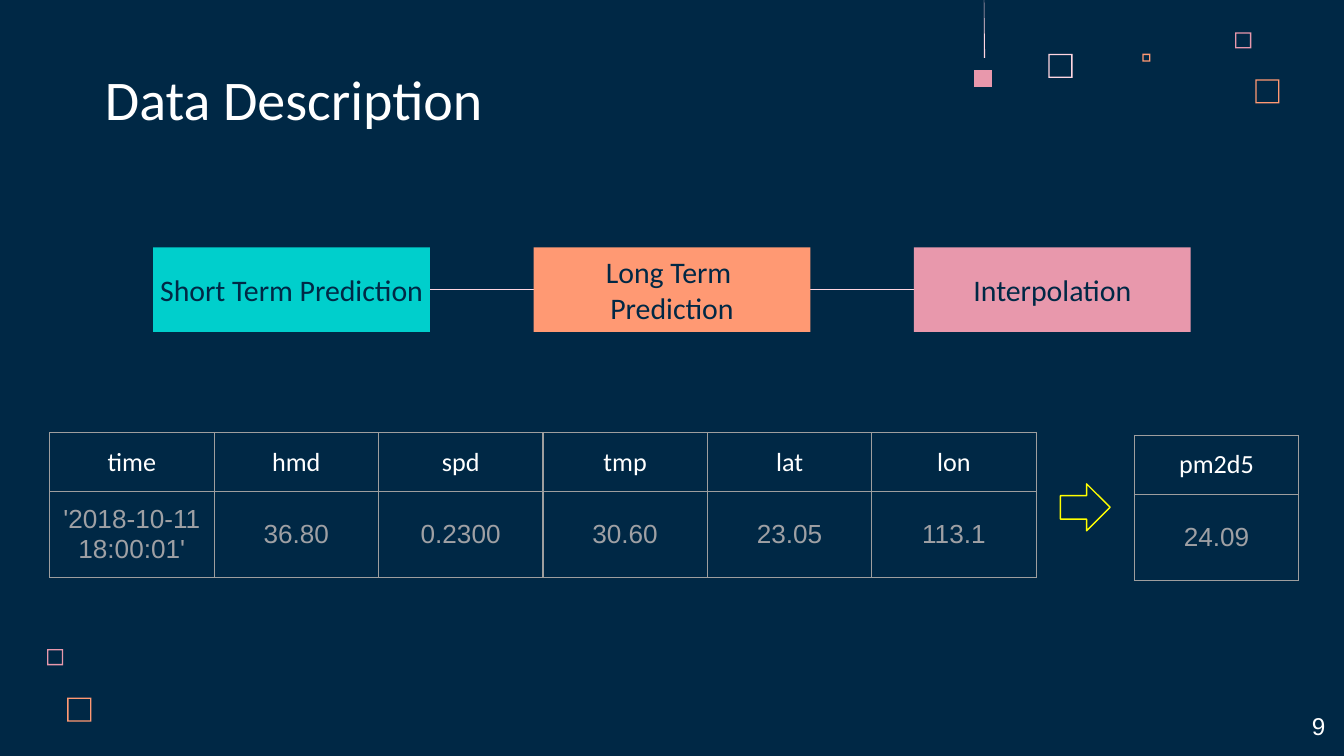
import pptx
import pptx.dml.color
import pptx.enum.shapes
import pptx.enum.text
import pptx.oxml
import pptx.oxml.ns
import pptx.util
from pptx.util import Inches

SHAPE = pptx.enum.shapes.MSO_SHAPE
ALIGN = pptx.enum.text.PP_ALIGN
ANCHOR = pptx.enum.text.MSO_ANCHOR

# Content
TITLE = "Data Description"
PAGE_NUMBER = "9"
TASKS = [
    (["Short Term Prediction"], "teal"),
    (["Long Term ", "Prediction"], "orange"),
    (["Interpolation"], "pink"),
]
FEATURES = [
    ["time", "hmd", "spd", "tmp", "lat", "lon"],
    ["'2018-10-11 18:00:01'", "36.80", "0.2300", "30.60", "23.05", "113.1"],
]
TARGET = [["pm2d5"], ["24.09"]]
# Hollow squares: left, top, side, colour
SQUARES = [
    (7.8, 0.4, 0.18, "blush"),
    (9.19, 0.24, 0.12, "pink"),
    (8.5, 0.4, 0.06, "orange"),
    (9.34, 0.59, 0.18, "orange"),
    (0.35, 4.83, 0.12, "pink"),
    (0.5, 5.19, 0.18, "orange"),
]

THEME = {
    "colors": {
        "navy": "002845", "white": "FFFFFF", "grey": "9FA0A4", "border": "9E9E9E",
        "teal": "00CFCC", "orange": "FF9973", "pink": "E898AC", "blush": "FFD6E1",
        "yellow": "FFFF00",
    },
    # Font, size, colour
    "text": {
        "title": ("Calibri", 30, "white"),
        "page": ("Arial", 13, "white"),
        "task": ("Calibri", 16, "navy"),
        "header": ("Calibri", 14, "white"),
        "value": ("Arial", 14, "grey"),
    },
    "line": 0.75,
}

# Layout
SLIDE_W = Inches(10)
SLIDE_H = SLIDE_W * 9 // 16
TASK_LEFT, TASK_TOP, TASK_W, TASK_H, TASK_STEP = 1.14, 1.84, 2.06, 0.63, 2.83
LABEL_W, LABEL_H = 2.52, 0.37
COLUMN_W, ROW_HEIGHTS = 7.34 / 6, [0.43, 0.64]
FRAME_FORMAT = {"word_wrap": True, "auto_size": pptx.enum.text.MSO_AUTO_SIZE.NONE}
MARGINS = {f"margin_{side}": Inches(0.1) for side in ("left", "top", "right", "bottom")}
# Slightly narrower sides keep the date on one line
CELL_MARGINS = {**MARGINS, "margin_left": Inches(0.09), "margin_right": Inches(0.09)}


def set_all(target, values):
    for name, value in values.items():
        setattr(target, name, value)


def rgb(name):
    return pptx.dml.color.RGBColor.from_string(THEME["colors"][name])


def write(frame, lines, style, align):
    font_name, size, color = THEME["text"][style]
    frame.text = "\n".join(lines)
    for paragraph in frame.paragraphs:
        paragraph.alignment = align
        for run in paragraph.runs:
            set_all(run.font, {"name": font_name, "size": pptx.util.Pt(size)})
            run.font.color.rgb = rgb(color)


def write_box(shape, lines, style, align, anchor):
    set_all(shape.text_frame, {**FRAME_FORMAT, **MARGINS, "vertical_anchor": anchor})
    write(shape.text_frame, lines, style, align)


def paint(shape, fill=None, line=None):
    shape.shadow.inherit = False
    if fill:
        shape.fill.solid()
        shape.fill.fore_color.rgb = rgb(fill)
    else:
        shape.fill.background()
    if line:
        shape.line.color.rgb = rgb(line)
        shape.line.width = pptx.util.Pt(THEME["line"])
    else:
        shape.line.fill.background()


def add_outline(shapes, contours, color):
    contours = [[(Inches(x), Inches(y)) for x, y in points] for points in contours]
    builder = shapes.build_freeform(*contours[0][0])
    for index, points in enumerate(contours):
        if index:
            builder.move_to(*points[0])
        builder.add_line_segments(points[1:], close=True)
    paint(builder.convert_to_shape(), fill=color)


def square(left, top, side):
    right, bottom = left + side, top + side
    return [(left, top), (left, bottom), (right, bottom), (right, top)]


def add_border(cell):
    properties = cell._tc.get_or_add_tcPr()
    width = pptx.util.Pt(THEME["line"])
    for index, edge in enumerate(("lnL", "lnR", "lnT", "lnB")):
        properties.insert(index, pptx.oxml.parse_xml(
            f'<a:{edge} {pptx.oxml.ns.nsdecls("a")} w="{width}"><a:solidFill>'
            f'<a:srgbClr val="{THEME["colors"]["border"]}"/></a:solidFill></a:{edge}>'))


def add_data_table(shapes, rows, left, top):
    columns = len(rows[0])
    table = shapes.add_table(
        len(rows), columns, Inches(left), Inches(top),
        Inches(COLUMN_W * columns), Inches(sum(ROW_HEIGHTS))).table
    set_all(table, {"first_row": False, "horz_banding": False})
    for column in table.columns:
        column.width = Inches(COLUMN_W)
    for r, (values, height) in enumerate(zip(rows, ROW_HEIGHTS)):
        table.rows[r].height = Inches(height)
        for c, value in enumerate(values):
            cell = table.cell(r, c)
            set_all(cell, {**CELL_MARGINS, "vertical_anchor": ANCHOR.MIDDLE})
            write(cell.text_frame, [value], "value" if r else "header", ALIGN.CENTER)
            cell.fill.background()
            add_border(cell)


def main():
    deck = pptx.Presentation()
    set_all(deck, {"slide_width": SLIDE_W, "slide_height": SLIDE_H})
    slide = deck.slides.add_slide(deck.slide_layouts[5])
    slide.background.fill.solid()
    slide.background.fill.fore_color.rgb = rgb("navy")
    shapes = slide.shapes

    # Corner decoration
    for left, top, side, color in SQUARES:
        inner = square(left + 0.01, top + 0.01, side - 0.02)
        add_outline(shapes, [square(left, top, side), inner[::-1]], color)
    add_outline(shapes, [square(7.25, 0.52, 0.13)], "pink")
    add_outline(shapes, [[(7.32, -0.18), (7.32, 0.43), (7.33, 0.43)]], "blush")

    # Title and page number
    title = shapes.title
    set_all(title, {"left": Inches(0.68), "top": Inches(0.45),
                    "width": Inches(5.05), "height": Inches(0.63)})
    write_box(title, [TITLE], "title", ALIGN.LEFT, ANCHOR.BOTTOM)
    page = shapes.add_textbox(Inches(9.36), Inches(5.19), Inches(0.6), Inches(0.43))
    write_box(page, [PAGE_NUMBER], "page", ALIGN.RIGHT, ANCHOR.TOP)

    # Line running behind the task boxes, from the first to the last
    middle = TASK_TOP + TASK_H / 2
    link = shapes.add_connector(
        pptx.enum.shapes.MSO_CONNECTOR.ELBOW,
        Inches(TASK_LEFT + TASK_W), Inches(middle),
        Inches(TASK_LEFT + TASK_STEP * (len(TASKS) - 1)), Inches(middle))
    link.line.color.rgb = rgb("blush")
    link.line.width = pptx.util.Pt(THEME["line"])
    link._element.spPr.append(
        pptx.oxml.parse_xml(f'<a:effectLst {pptx.oxml.ns.nsdecls("a")}/>'))

    # Task boxes with centred labels
    for index, (lines, color) in enumerate(TASKS):
        left = TASK_LEFT + TASK_STEP * index
        box = shapes.add_shape(SHAPE.RECTANGLE, Inches(left), Inches(TASK_TOP),
                               Inches(TASK_W), Inches(TASK_H))
        paint(box, fill=color)
        label = shapes.add_textbox(
            Inches(left + (TASK_W - LABEL_W) / 2), Inches(middle - LABEL_H / 2),
            Inches(LABEL_W), Inches(LABEL_H))
        write_box(label, lines, "task", ALIGN.CENTER, ANCHOR.MIDDLE)

    # Feature table, arrow and target table
    add_data_table(shapes, FEATURES, 0.37, 3.22)
    add_data_table(shapes, TARGET, 8.44, 3.24)
    arrow = shapes.add_shape(SHAPE.RIGHT_ARROW, Inches(7.89), Inches(3.6),
                             Inches(0.37), Inches(0.35))
    paint(arrow, line="yellow")

    deck.save("out.pptx")


if __name__ == "__main__":
    main()
